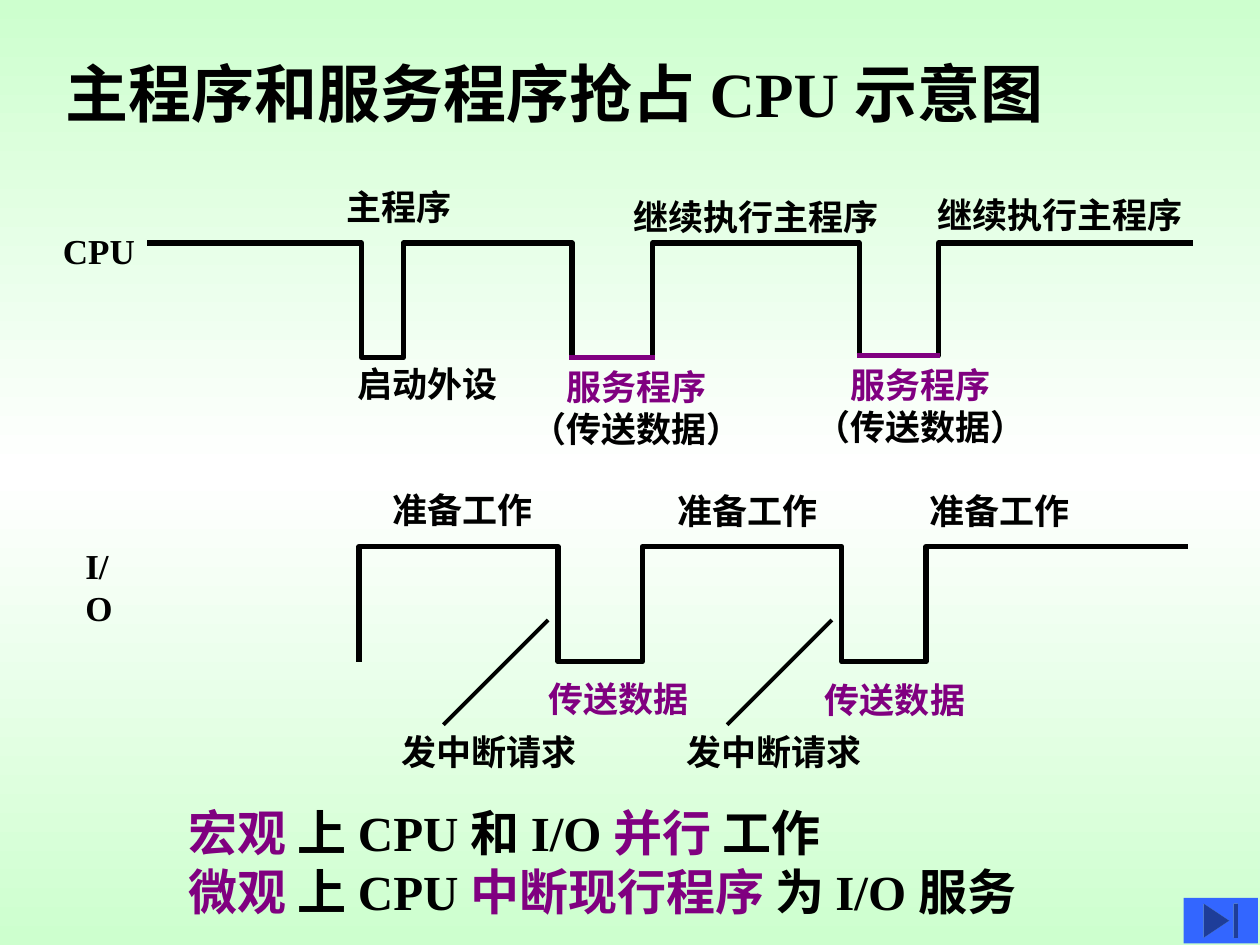
from copy import deepcopy
from itertools import pairwise

from pptx import Presentation
from pptx.dml.color import RGBColor
from pptx.enum.shapes import MSO_CONNECTOR, MSO_SHAPE
from pptx.enum.text import MSO_AUTO_SIZE, PP_ALIGN
from pptx.oxml.ns import qn
from pptx.oxml.xmlchemy import OxmlElement
from pptx.util import Cm, Pt

BLACK = RGBColor(0x00, 0x00, 0x00)
PURPLE = RGBColor(0x80, 0x00, 0x80)
BLUE = RGBColor(0x33, 0x66, 0xFF)
GREEN = RGBColor(0xCD, 0xFF, 0xCE)
WHITE = RGBColor(0xFF, 0xFF, 0xFF)
FONT = "Times New Roman"

TITLE = [[("主程序和服务程序抢占 CPU 示意图", BLACK)]]
SUMMARY = [
    [("宏观 ", PURPLE), ("上 CPU 和 I/O ", BLACK), ("并行 ", PURPLE), ("工作", BLACK)],
    [("微观 ", PURPLE), ("上 CPU ", BLACK), ("中断现行程序 ", PURPLE), ("为 I/O 服务", BLACK)],
]
SERVICE = [[("服务程序", PURPLE)], [("（传送数据）", BLACK)]]

LABELS = [
    ("CPU", 1.02, 4.5, 1.96, BLACK),
    ("I/O", 1.47, 10.85, 1.52, BLACK),
    ("主程序", 6.73, 3.61, 2.62, BLACK),
    ("继续执行主程序", 12.52, 3.81, 5.46, BLACK),
    ("继续执行主程序", 18.64, 3.78, 5.46, BLACK),
    ("启动外设", 6.96, 7.19, 3.33, BLACK),
    ("准备工作", 7.67, 9.73, 3.33, BLACK),
    ("准备工作", 13.41, 9.75, 3.33, BLACK),
    ("准备工作", 18.49, 9.75, 3.33, BLACK),
    ("传送数据", 10.8, 13.54, 3.33, PURPLE),
    ("传送数据", 16.38, 13.56, 3.33, PURPLE),
    ("发中断请求", 7.85, 14.6, 4.04, BLACK),
    ("发中断请求", 13.59, 14.6, 4.04, BLACK),
]
SERVICE_PLACES = [(10.46, 7.24), (16.18, 7.21)]

CPU_EDGES = [2.97, 7.29, 8.13, 11.53, 13.16, 17.32, 18.92, 24.05]
CPU_LEVELS = [4.9, 7.21, 4.9, 7.21, 4.9, 7.16, 4.9]
IO_EDGES = [7.24, 7.24, 11.25, 12.95, 16.97, 18.67, 23.95]
IO_LEVELS = [13.34, 11.02, 13.34, 11.02, 13.34, 11.02]
SERVICE_SPANS = [(11.48, 13.21, 7.21), (17.27, 18.95, 7.16)]
REQUEST_STARTS = [8.94, 14.66]
REQUEST_Y, REQUEST_RISE = 14.61, 2.11


def paint_background(slide):
    fill = slide.background.fill
    fill.gradient()
    fill.gradient_angle = 270
    stops = slide.element.find(".//" + qn("a:gsLst"))
    stops.insert(1, deepcopy(stops[0]))
    for stop, position, colour in zip(fill.gradient_stops, (0, 0.5, 1), (GREEN, WHITE, GREEN)):
        stop.position = position
        stop.color.rgb = colour


def add_text(slide, lines, left, top, width, height, size=20, wrap=False, align=PP_ALIGN.LEFT):
    frame = slide.shapes.add_textbox(Cm(left), Cm(top), Cm(width), Cm(height)).text_frame
    frame.word_wrap = wrap
    frame.auto_size = MSO_AUTO_SIZE.SHAPE_TO_FIT_TEXT
    for index, line in enumerate(lines):
        paragraph = frame.add_paragraph() if index else frame.paragraphs[0]
        paragraph.alignment = align
        paragraph.font.name = FONT
        paragraph.font.size = Pt(size)
        paragraph.font.bold = True
        for words, colour in line:
            run = paragraph.add_run()
            run.text = words
            run.font.color.rgb = colour


def add_wave(slide, edges, levels):
    points = []
    for (start, end), level in zip(pairwise(edges), levels):
        points += [(Cm(start), Cm(level)), (Cm(end), Cm(level))]
    builder = slide.shapes.build_freeform(*points[0])
    builder.add_line_segments(points[1:], close=False)
    wave = builder.convert_to_shape()
    wave.shadow.inherit = False
    wave.fill.background()
    wave.line.color.rgb = BLACK
    wave.line.width = Pt(3)


def add_line(slide, start, end, colour, weight):
    line = slide.shapes.add_connector(MSO_CONNECTOR.STRAIGHT, *map(Cm, start + end))
    line.line.color.rgb = colour
    line.line.width = Pt(weight)
    line.element.spPr.append(OxmlElement("a:effectLst"))


def main():
    deck = Presentation()
    deck.slide_width, deck.slide_height = Cm(25.4), Cm(19.05)
    slide = deck.slides.add_slide(deck.slide_layouts[6])
    paint_background(slide)

    add_text(slide, TITLE, 1.07, 0.97, 20.65, 3.3, size=36, wrap=True)
    add_wave(slide, CPU_EDGES, CPU_LEVELS)
    add_wave(slide, IO_EDGES, IO_LEVELS)
    for start, end, level in SERVICE_SPANS:
        add_line(slide, (start, level), (end, level), PURPLE, 3)
    for x in REQUEST_STARTS:
        add_line(slide, (x, REQUEST_Y), (x + REQUEST_RISE, REQUEST_Y - REQUEST_RISE), BLACK, 2.25)

    for words, left, top, width, colour in LABELS:
        add_text(slide, [[(words, colour)]], left, top, width, 1.12)
    for left, top in SERVICE_PLACES:
        add_text(slide, SERVICE, left, top, 4.75, 1.96, align=PP_ALIGN.CENTER)
    add_text(slide, SUMMARY, 3.56, 16.05, 20.37, 2.64, size=28, wrap=True)

    end_button = slide.shapes.add_shape(
        MSO_SHAPE.ACTION_BUTTON_END, Cm(23.86), Cm(18.1), Cm(1.5), Cm(0.92))
    end_button.shadow.inherit = False
    end_button.fill.solid()
    end_button.fill.fore_color.rgb = BLUE
    end_button.line.fill.background()

    deck.save("out.pptx")


if __name__ == "__main__":
    main()
